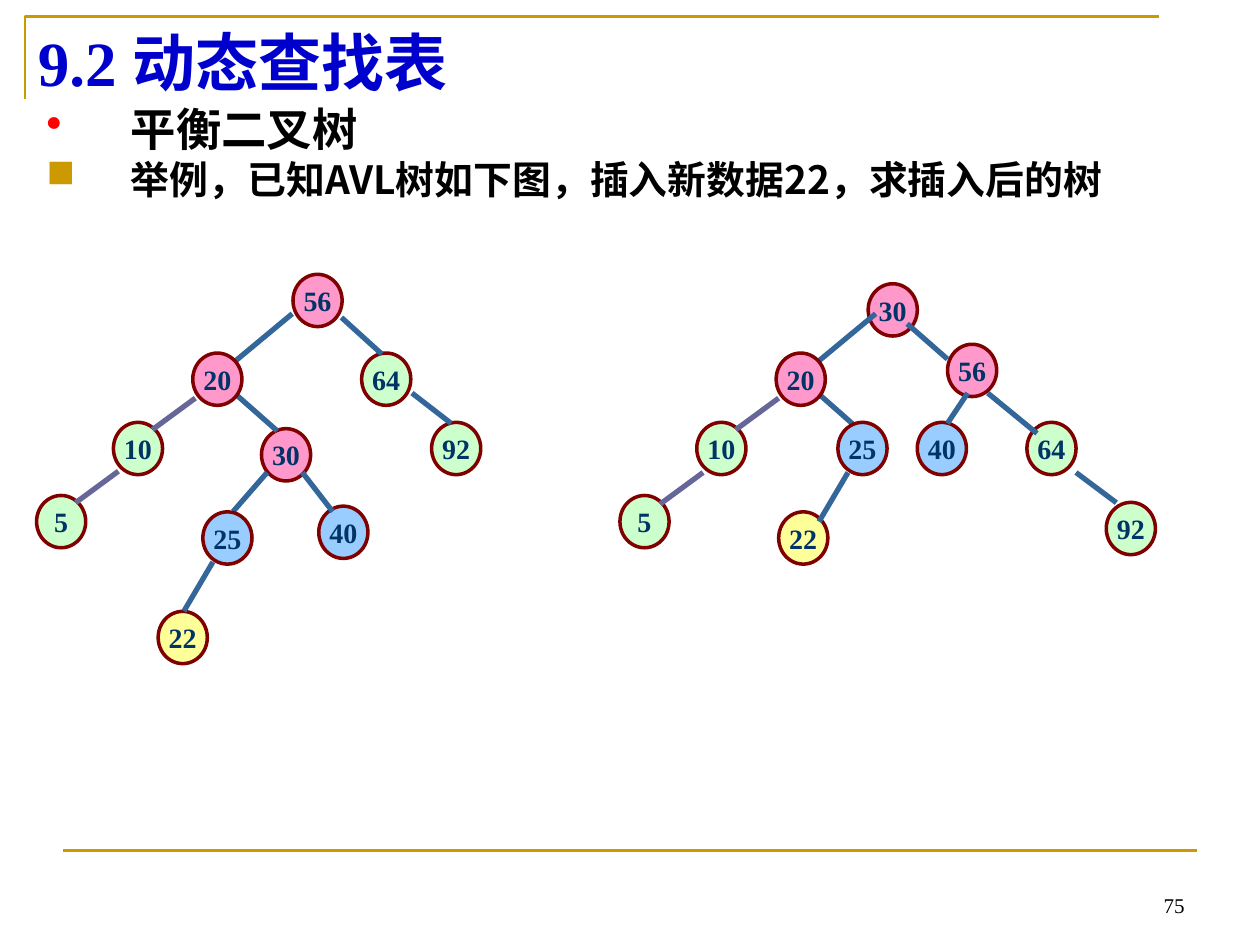
from lxml.etree import SubElement
from pptx import Presentation
from pptx.dml.color import RGBColor
from pptx.enum.shapes import MSO_CONNECTOR, MSO_SHAPE
from pptx.enum.text import MSO_ANCHOR, PP_ALIGN
from pptx.oxml.ns import qn
from pptx.util import Inches, Pt

GOLD = RGBColor(0xCC, 0x99, 0x00)
BLUE = RGBColor(0x00, 0x00, 0xCC)
RED = RGBColor(0xFF, 0x00, 0x00)
BLACK = RGBColor(0x00, 0x00, 0x00)
NAVY = RGBColor(0x00, 0x33, 0x66)
MAROON = RGBColor(0x80, 0x00, 0x00)
PINK = RGBColor(0xFF, 0x99, 0xCC)
GREEN = RGBColor(0xCC, 0xFF, 0xCC)
SKY = RGBColor(0x99, 0xCC, 0xFF)
YELLOW = RGBColor(0xFF, 0xFF, 0x99)
STEEL = RGBColor(0x33, 0x66, 0x99)
PURPLE = RGBColor(0x66, 0x66, 0x99)
SERIF, SANS = "Times New Roman", "Noto Sans CJK SC"

deck = Presentation()
deck.slide_width, deck.slide_height = Inches(10), Inches(7.5)
slide = deck.slides.add_slide(deck.slide_layouts[5])
shapes = slide.shapes

# The slide is a grid of 100 columns by 75 rows.
UNIT = deck.slide_width // 100


def write(para, text, size, font=SERIF, color=BLACK, bold=True, align=PP_ALIGN.LEFT):
    para.alignment = align
    run = para.add_run()
    run.text = text
    run.font.size, run.font.name, run.font.bold = Pt(size), font, bold
    run.font.color.rgb = color
    east = SubElement(run._r.get_or_add_rPr(), qn("a:ea"))
    east.set("typeface", SANS)


def link(x1, y1, x2, y2, color, width):
    ends = [round(n * UNIT) for n in (x1, y1, x2, y2)]
    line = shapes.add_connector(MSO_CONNECTOR.STRAIGHT, *ends)
    line.line.color.rgb, line.line.width = color, Pt(width)
    SubElement(line._element.spPr, qn("a:effectLst"))


# Frame: corner bracket and foot rule
pen = shapes.build_freeform(2 * UNIT, round(7.9 * UNIT))
pen.add_line_segments(
    [(2 * UNIT, round(1.3 * UNIT)), (92 * UNIT, round(1.3 * UNIT))], close=False)
frame = pen.convert_to_shape()
frame.fill.background()
frame.line.color.rgb, frame.line.width = GOLD, Pt(1.5)
frame.shadow.inherit = False
link(5, 67.5, 95, 67.5, GOLD, 1.5)

# Title, body and page number
title = shapes.title
title.left, title.top = 2 * UNIT, round(1.3 * UNIT)
title.width, title.height = 90 * UNIT, round(7.1 * UNIT)
title.text_frame.vertical_anchor = MSO_ANCHOR.MIDDLE
write(title.text_frame.paragraphs[0], "9.2 动态查找表", 36, color=BLUE)

body = shapes.add_textbox(*[round(n * UNIT) for n in (2.7, 8.4, 92.1, 11.8)]).text_frame
body.word_wrap = True
points = [
    ("平衡二叉树", 25.9, "•", RED, 0),
    ("举例，已知AVL树如下图，插入新数据22，求插入后的树", 22.2, "■", GOLD, 5),
]
for i, (text, size, mark, tint, gap) in enumerate(points):
    para = body.add_paragraph() if i else body.paragraphs[0]
    props = para._p.get_or_add_pPr()
    props.set("marL", str(Inches(0.67)))
    props.set("indent", str(-Inches(0.67)))
    SubElement(SubElement(props, qn("a:buClr")), qn("a:srgbClr")).set("val", str(tint))
    SubElement(props, qn("a:buChar")).set("char", mark)
    para.line_spacing, para.space_before = 0.8, Pt(gap)
    write(para, text, size, font=SANS)

page = shapes.add_textbox(*[round(n * UNIT) for n in (71.7, 68.3, 23.3, 5)]).text_frame
page.word_wrap = True
page.vertical_anchor = MSO_ANCHOR.BOTTOM
write(page.paragraphs[0], "75", 12, bold=False, align=PP_ALIGN.RIGHT)

# Each tree: nodes by centre (column, row), then edges by their two ends.
# Links are laid over the nodes, save for the nodes in TOP.
TOP = (20, 25)
FILL = {5: GREEN, 10: GREEN, 20: PINK, 22: YELLOW, 25: SKY,
        30: PINK, 40: SKY, 56: PINK, 64: GREEN, 92: GREEN}
WIDE, HIGH = 3.9, 4.15
before = (
    {56: (25.2, 23.85), 64: (30.65, 30.1), 10: (10.95, 35.6), 92: (36.2, 35.6),
     30: (22.7, 36.1), 22: (14.5, 50.6), 40: (27.25, 42.25), 5: (4.85, 41.4),
     20: (17.25, 30.1), 25: (18.05, 42.7)},
    [(23.2, 24.9, 18.5, 28.8, STEEL), (27.1, 25.2, 30.3, 28.1, STEEL),
     (15.5, 31.6, 12.1, 34.1, PURPLE), (18.6, 31.2, 22, 34.2, STEEL),
     (32.7, 31.2, 35.8, 33.6, STEEL), (16.9, 44.6, 14.6, 48.5, STEEL),
     (24, 37.5, 26.4, 40.6, STEEL), (21.2, 37.5, 18.5, 40.6, STEEL),
     (9.4, 37.4, 6, 39.9, PURPLE)],
)
after = (
    {56: (77.15, 29.4), 64: (83.45, 35.6), 10: (57.25, 35.6), 92: (89.75, 41.95),
     30: (70.85, 24.6), 22: (63.75, 42.7), 40: (74.75, 35.6), 5: (51.15, 41.4),
     20: (63.55, 30.1), 25: (68.45, 35.6)},
    [(69.5, 24.9, 64.8, 28.8, STEEL), (72, 25.7, 75.2, 28.5, STEEL),
     (61.8, 31.6, 58.4, 34.1, PURPLE), (64.9, 31.2, 68.3, 34.2, STEEL),
     (85.4, 37.5, 88.6, 39.9, STEEL), (67.3, 37.5, 65, 41.4, STEEL),
     (76.8, 31.2, 75.2, 33.6, STEEL), (78.4, 31.2, 82.3, 34.4, STEEL),
     (55.8, 37.5, 52.4, 40, PURPLE)],
)

for nodes, edges in (before, after):
    for key, (x, y) in nodes.items():
        if key == TOP[0]:
            for edge in edges:
                link(*edge, 3)
        spot = (x - WIDE / 2, y - HIGH / 2, WIDE, HIGH)
        node = shapes.add_shape(MSO_SHAPE.OVAL, *[round(n * UNIT) for n in spot])
        node.shadow.inherit = False
        node.fill.solid()
        node.fill.fore_color.rgb = FILL[key]
        node.line.color.rgb, node.line.width = MAROON, Pt(2)
        node.text_frame.word_wrap = False
        node.text_frame.vertical_anchor = MSO_ANCHOR.MIDDLE
        write(node.text_frame.paragraphs[0], str(key), 16, color=NAVY,
              align=PP_ALIGN.CENTER)

deck.save("out.pptx")
